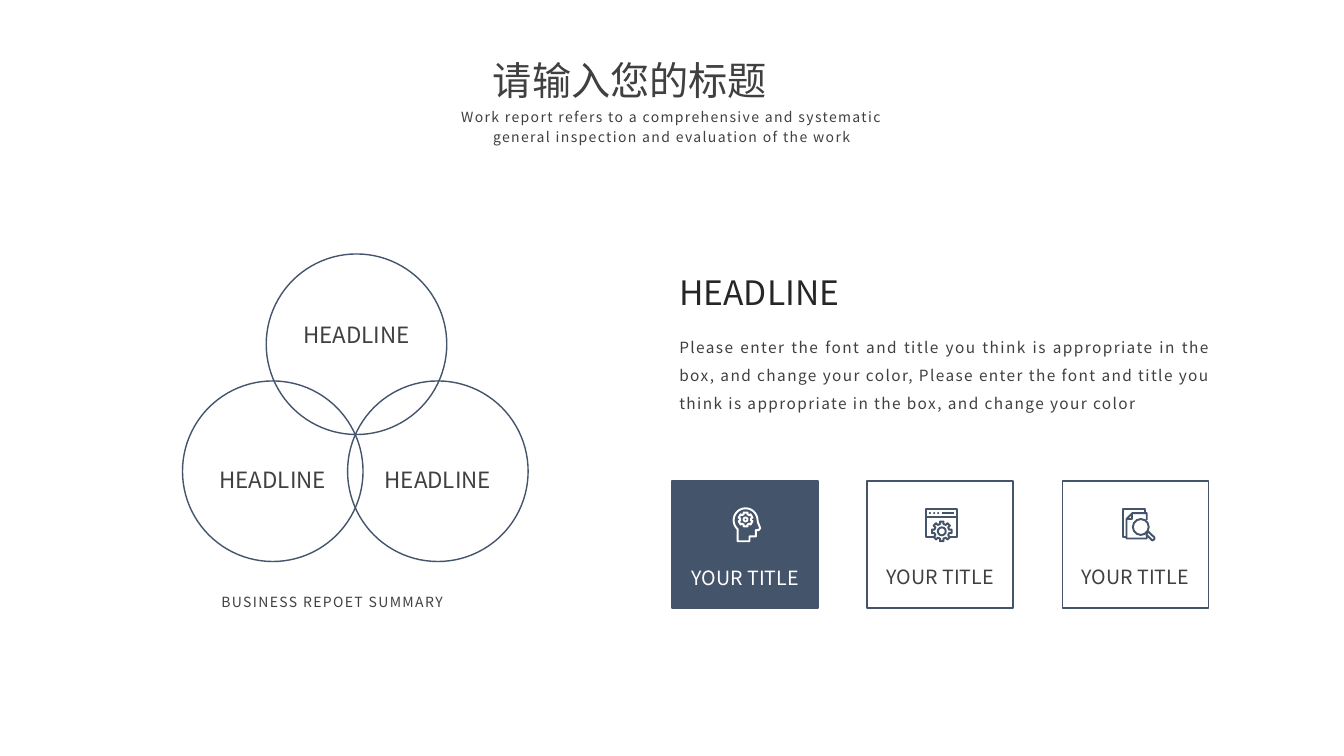
"""Build a slide with three overlapping circles, a text column and three icon cards."""
from math import cos, radians, sin

from lxml.etree import SubElement
from pptx import Presentation
from pptx.dml.color import RGBColor
from pptx.enum.shapes import MSO_CONNECTOR, MSO_SHAPE
from pptx.enum.text import MSO_ANCHOR, MSO_AUTO_SIZE, PP_ALIGN
from pptx.oxml.ns import qn
from pptx.util import Cm, Pt

NAVY = RGBColor(0x44, 0x54, 0x6A)
WHITE = RGBColor(0xFF, 0xFF, 0xFF)
GRAY = RGBColor(0x40, 0x40, 0x40)
BLACK = RGBColor(0x26, 0x26, 0x26)
FONT = "Noto Sans CJK SC"


def write(shape, text, size, color=GRAY, align=PP_ALIGN.CENTER, leading=None, spacing=0):
    frame = shape.text_frame
    frame.word_wrap = True
    frame.auto_size = MSO_AUTO_SIZE.NONE
    frame.vertical_anchor = MSO_ANCHOR.TOP
    paragraph = frame.paragraphs[0]
    paragraph.alignment = align
    if leading:
        paragraph.line_spacing = Pt(leading)
    run = paragraph.add_run()
    run.text = text
    run.font.size = Pt(size)
    run.font.color.rgb = color
    run.font.name = FONT
    properties = run._r.get_or_add_rPr()
    properties.set("spc", str(spacing * 100))
    SubElement(properties, qn("a:ea")).set("typeface", FONT)


def paint(shape, line, width=1, fill=None):
    shape.shadow.inherit = False
    shape.line.color.rgb = line
    shape.line.width = Pt(width)
    if fill is None:
        shape.fill.background()
    else:
        shape.fill.solid()
        shape.fill.fore_color.rgb = fill


presentation = Presentation()
presentation.slide_width = Cm(33.87)
presentation.slide_height = Cm(19.05)
slide = presentation.slides.add_slide(presentation.slide_layouts[5])

title = slide.shapes.title
title.left, title.top, title.width, title.height = Cm(12.17), Cm(1.3), Cm(9.55), Cm(1.45)
write(title, "请输入您的标题", 28, align=PP_ALIGN.JUSTIFY)

subtitle = slide.shapes.add_textbox(Cm(10.82), Cm(2.54), Cm(12.22), Cm(1.19))
write(subtitle, "Work report refers to a comprehensive and systematic general "
      "inspection and evaluation of the work", 10, leading=14, spacing=1)

circles = slide.shapes.add_group_shape().shapes
for left, top, label_drop in [(6.71, 6.4, 1.57), (4.6, 9.6, 2.03), (8.76, 9.6, 2.03)]:
    circle = circles.add_shape(MSO_SHAPE.OVAL, Cm(left), Cm(top), Cm(4.55), Cm(4.55))
    paint(circle, NAVY)
    label = circles.add_textbox(Cm(left + 0.61), Cm(top + label_drop), Cm(3.33), Cm(0.94))
    write(label, "HEADLINE", 16)

caption = slide.shapes.add_textbox(Cm(5.33), Cm(14.76), Cm(7.65), Cm(0.71))
write(caption, "BUSINESS REPOET SUMMARY", 10, align=PP_ALIGN.JUSTIFY, leading=14, spacing=1)

headline = slide.shapes.add_textbox(Cm(16.87), Cm(6.73), Cm(5.61), Cm(1.27))
write(headline, "HEADLINE", 24, color=BLACK, align=PP_ALIGN.JUSTIFY)

body = slide.shapes.add_textbox(Cm(16.87), Cm(8.15), Cm(13.89), Cm(3.02))
write(body, "Please enter the font and title you think is appropriate in the box, "
      "and change your color, Please enter the font and title you think is appropriate "
      "in the box, and change your color", 11, align=PP_ALIGN.JUSTIFY, leading=20, spacing=1)

skull = [(0.38 + 0.3 * cos(radians(angle)), 0.33 + 0.3 * sin(radians(angle)))
         for angle in range(132, 353, 10)]
face = [(0.69, 0.38), (0.75, 0.53), (0.71, 0.58), (0.64, 0.58), (0.64, 0.74),
        (0.48, 0.74), (0.48, 0.86), (0.18, 0.86)]
window = [(0.22, 0.76), (0.01, 0.76), (0.01, 0.05), (0.8, 0.05), (0.8, 0.76), (0.6, 0.76)]
back_page = [(0.15, 0.76), (0.05, 0.76), (0.05, 0.05), (0.61, 0.05), (0.61, 0.15)]
front_page = [(0.66, 0.33), (0.66, 0.15), (0.3, 0.15), (0.15, 0.3), (0.15, 0.79),
              (0.66, 0.79), (0.66, 0.71)]
fold = [(0.3, 0.15), (0.3, 0.3), (0.15, 0.3)]
handle = [(0.69, 0.61), (0.85, 0.76), (0.85, 0.81), (0.8, 0.84), (0.65, 0.69)]

gears = []
for x, y, teeth, outer, root, half_tooth in [(0.38, 0.31, 6, 0.18, 0.14, 16),
                                             (0.41, 0.61, 8, 0.25, 0.19, 10)]:
    corners = [(-half_tooth - 3, root), (-half_tooth, outer),
               (half_tooth, outer), (half_tooth + 3, root)]
    gears.append([(x + radius * sin(radians(tooth * 360 / teeth + turn)),
                   y - radius * cos(radians(tooth * 360 / teeth + turn)))
                  for tooth in range(teeth) for turn, radius in corners])

dots = [(x, 0.15, 0.02, True) for x in (0.11, 0.22, 0.32)]
cards = [
    (NAVY, WHITE, WHITE, 2.02, [(skull + face, True), (gears[0], True)],
     [(0.38, 0.31, 0.05, False)], []),
    (None, NAVY, GRAY, 2, [(window, False), (gears[1], True)],
     [(0.41, 0.61, 0.1, False)] + dots, [(0.01, 0.8, 0.25), (0.42, 0.71, 0.15)]),
    (None, NAVY, GRAY, 2, [(back_page, False), (front_page, False), (fold, False), (handle, True)],
     [(0.51, 0.5, 0.2, False)], []),
]
card_top = 12.12
for index, (fill, ink, text_color, label_drop, outlines, rings, bars) in enumerate(cards):
    card_left = 16.94 + 4.915 * index
    icon_left, icon_top = card_left + 1.47, card_top + 0.66
    group = slide.shapes.add_group_shape().shapes
    card = group.add_shape(MSO_SHAPE.RECTANGLE, Cm(card_left), Cm(card_top), Cm(3.68), Cm(3.2))
    paint(card, NAVY, fill=fill)
    for points, closed in outlines:
        places = [(Cm(icon_left + x), Cm(icon_top + y)) for x, y in points]
        builder = group.build_freeform(*places[0])
        builder.add_line_segments(places[1:], close=closed)
        paint(builder.convert_to_shape(), ink, 1.4)
    for x, y, radius, solid in rings:
        ring = group.add_shape(MSO_SHAPE.OVAL, Cm(icon_left + x - radius),
                               Cm(icon_top + y - radius), Cm(2 * radius), Cm(2 * radius))
        paint(ring, ink, 0.25 if solid else 1.4, ink if solid else None)
    for start, end, y in bars:
        bar = group.add_connector(MSO_CONNECTOR.STRAIGHT, Cm(icon_left + start),
                                  Cm(icon_top + y), Cm(icon_left + end), Cm(icon_top + y))
        bar.line.color.rgb = ink
        bar.line.width = Pt(1.4)
        SubElement(bar._element.spPr, qn("a:effectLst"))
    label = group.add_textbox(Cm(card_left - 0.39), Cm(card_top + label_drop), Cm(4.47), Cm(0.86))
    write(label, "YOUR TITLE", 14, color=text_color)

presentation.save("out.pptx")
